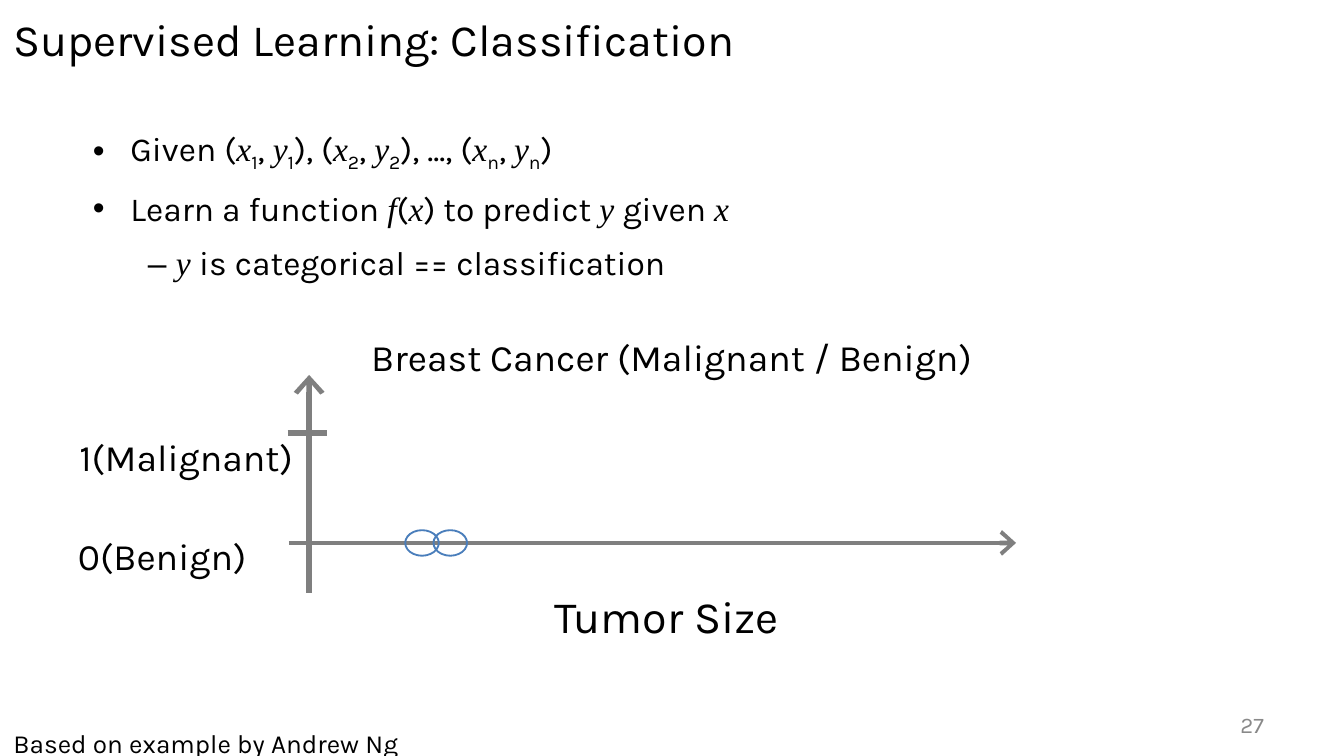
from lxml import etree
from pptx import Presentation
from pptx.dml.color import RGBColor
from pptx.enum.shapes import MSO_CONNECTOR, MSO_SHAPE
from pptx.enum.text import PP_ALIGN
from pptx.oxml.ns import qn
from pptx.util import Inches, Pt

STRAIGHT, OVAL = MSO_CONNECTOR.STRAIGHT, MSO_SHAPE.OVAL
LEFT, CENTER = PP_ALIGN.LEFT, PP_ALIGN.CENTER
WIDTH = 10
HEIGHT = WIDTH * 9 / 16

THEME = {
    "font": "Karla", "variable_font": "Times New Roman", "dash_font": "Arial",
    "ink": "000000", "muted": "898989", "axis": "7F7F7F", "sample": "4A7EBB",
    "title": 24, "body": 18, "label": 20, "axis_title": 24, "credit": 14, "number": 12,
}

# Run styles
PLAIN, VARIABLE, SUBSCRIPT, DASH = "plain", "variable", "subscript", "dash"


def sample_pair(index):
    return [("(", PLAIN), ("x", VARIABLE), (index, SUBSCRIPT), (", ", PLAIN),
            ("y", VARIABLE), (index, SUBSCRIPT), (")", PLAIN)]


TITLE = "Supervised Learning: Classification"
GIVEN = [("Given ", PLAIN), *sample_pair("1"), (", ", PLAIN), *sample_pair("2"),
         (", ..., ", PLAIN), *sample_pair("n")]
LEARN = [("Learn a function ", PLAIN), ("f", VARIABLE), ("(", PLAIN), ("x", VARIABLE),
         (") to predict ", PLAIN), ("y ", VARIABLE), ("given ", PLAIN), ("x", VARIABLE)]
CATEGORICAL = [("– ", DASH), ("y ", VARIABLE), ("is categorical == classification", PLAIN)]
BULLET = {"margin": 0.39, "indent": -0.28, "bullet": "•"}
BODY = [(GIVEN, BULLET), (LEARN, BULLET), (CATEGORICAL, {"margin": 0.52})]

# Plot geometry in inches
ORIGIN_X, ORIGIN_Y = 2.3, 4.04
MALIGNANT_Y = 3.22
TICK_LEFT, TICK_RIGHT = 2.14, 2.43
AXES = [  # start, end, line width, arrowhead
    ((ORIGIN_X, 4.41), (ORIGIN_X, 2.79), 3, True),
    ((2.15, ORIGIN_Y), (7.56, ORIGIN_Y), 2.5, True),
    ((TICK_LEFT, MALIGNANT_Y), (TICK_RIGHT, MALIGNANT_Y), 3, False),
]
SAMPLE_SIZE = (0.25, 0.19)
SAMPLES_X = [3.35, 3.14]

MARGIN = 0.1
LABELS = [  # text, left, top, width, height, format
    (TITLE, MARGIN, 0.09, 9.2, 0.4, {"size": "title"}),
    ("Breast Cancer (Malignant / Benign)", 2.5, 2.49, 5, 0.33,
     {"size": "label", "align": CENTER}),
    ("1(Malignant)", 0.59, 3.23, 1.7, 0.33, {"size": "label"}),
    ("0(Benign)", 0.58, 3.97, 1.7, 0.33, {"size": "label"}),
    ("Tumor Size", 3.71, 4.38, 2.5, 0.4, {"size": "axis_title", "align": CENTER}),
    ("Based on example by Andrew Ng", MARGIN, 5.41, 4, 0.2, {"size": "credit"}),
    ("27", 9.23, 5.29, 0.3, 0.17, {"size": "number", "color": "muted"}),
]

prs = Presentation()
prs.slide_width, prs.slide_height = Inches(WIDTH), Inches(HEIGHT)
slide = prs.slides.add_slide(prs.slide_layouts[6])


def color_of(role):
    return RGBColor.from_string(THEME[role])


def add_text_frame(left, top, width, height):
    frame = slide.shapes.add_textbox(*map(Inches, (left, top, width, height))).text_frame
    frame.word_wrap = True
    frame.margin_left = frame.margin_top = frame.margin_right = frame.margin_bottom = 0
    return frame


def write(paragraph, text, size="body", color="ink", align=LEFT, before=0,
          margin=0, indent=0, bullet=None):
    """Fill a paragraph from a string or a list of (text, style) runs."""
    properties = paragraph._p.get_or_add_pPr()
    properties.set("marL", str(Inches(margin)))
    properties.set("indent", str(Inches(indent)))
    if bullet:
        etree.SubElement(properties, qn("a:buFont"), typeface=THEME["dash_font"])
        etree.SubElement(properties, qn("a:buChar"), char=bullet)
    paragraph.alignment = align
    paragraph.space_before = Pt(before)
    for words, style in [(text, PLAIN)] if isinstance(text, str) else text:
        run = paragraph.add_run()
        run.text = words
        run.font.name = THEME[{VARIABLE: "variable_font", DASH: "dash_font"}.get(style, "font")]
        run.font.size = Pt(THEME[size])
        run.font.color.rgb = color_of(color)
        run.font.italic = style == VARIABLE
        if style == SUBSCRIPT:
            run._r.get_or_add_rPr().set("baseline", "-25000")


def add_axis(start, end, width, arrow):
    axis = slide.shapes.add_connector(STRAIGHT, *map(Inches, start + end))
    axis.line.color.rgb = color_of("axis")
    axis.line.width = Pt(width)
    if arrow:
        etree.SubElement(axis.line._get_or_add_ln(), qn("a:tailEnd"), type="arrow", w="lg")
    etree.SubElement(axis._element.spPr, qn("a:effectLst"))


def add_sample(center_x):
    width, height = SAMPLE_SIZE
    sample = slide.shapes.add_shape(OVAL, *map(Inches, (
        center_x - width / 2, ORIGIN_Y - height / 2, width, height)))
    sample.shadow.inherit = False
    sample.fill.background()
    sample.line.color.rgb = color_of("sample")
    sample.line.width = Pt(1)


for axis in AXES:
    add_axis(*axis)
for center_x in SAMPLES_X:
    add_sample(center_x)

body = add_text_frame(0.58, 0.95, 7.78, 1.3)
for row, (runs, layout) in enumerate(BODY):
    line = body.add_paragraph() if row else body.paragraphs[0]
    write(line, runs, before=7.6 if row else 0, **layout)

for text, left, top, width, height, layout in LABELS:
    write(add_text_frame(left, top, width, height).paragraphs[0], text, **layout)

prs.save("out.pptx")
